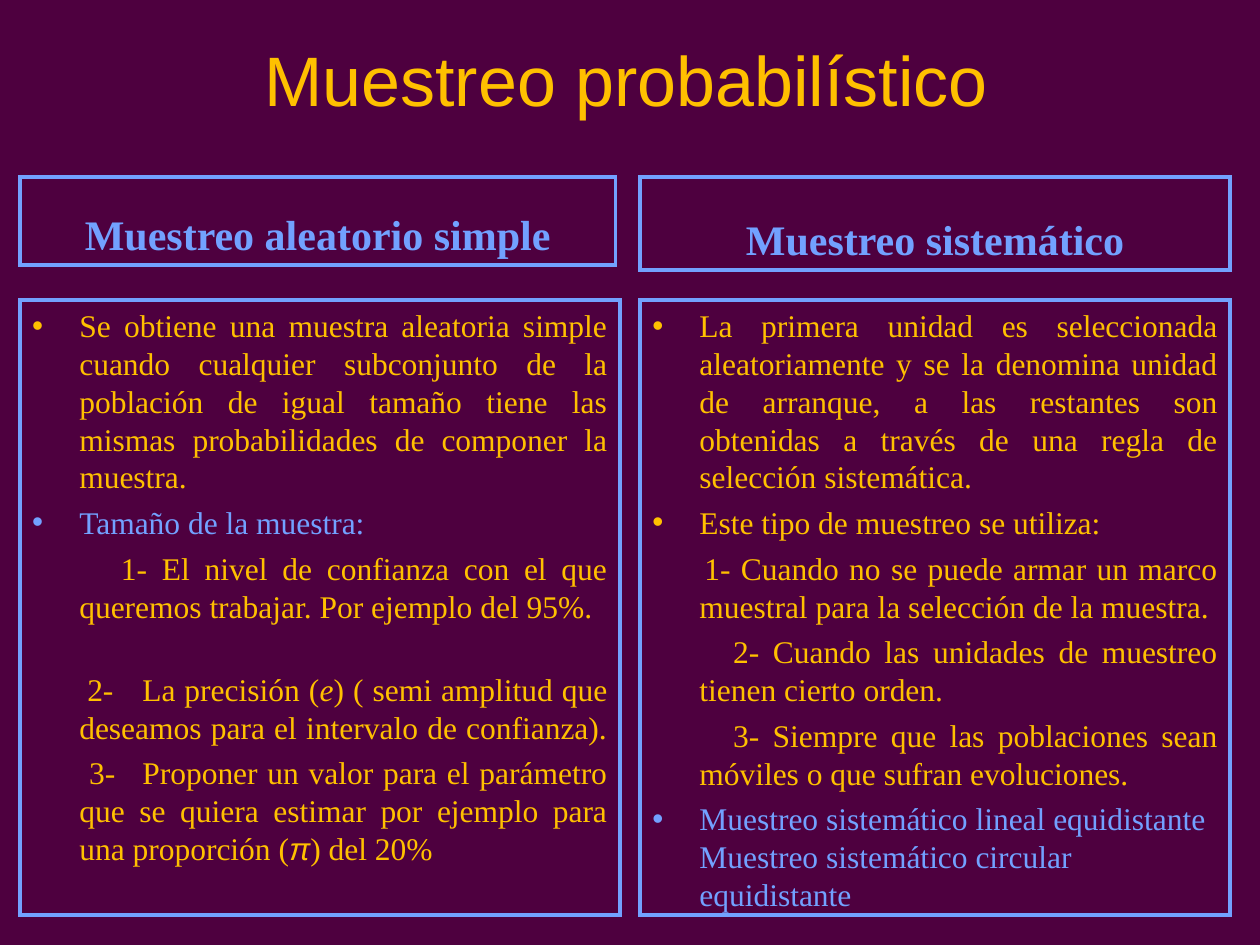
from pptx import Presentation
from pptx.dml.color import RGBColor
from pptx.enum.shapes import MSO_SHAPE
from pptx.enum.text import MSO_ANCHOR, PP_ALIGN
from pptx.oxml.ns import qn
from pptx.util import Cm, Pt
from lxml import etree

RECTANGLE = MSO_SHAPE.RECTANGLE
TOP, MIDDLE, BOTTOM = MSO_ANCHOR.TOP, MSO_ANCHOR.MIDDLE, MSO_ANCHOR.BOTTOM
LEFT, CENTER, JUSTIFY = PP_ALIGN.LEFT, PP_ALIGN.CENTER, PP_ALIGN.JUSTIFY

THEME = {
    "background": "4E003F", "gold": "FFC000", "blue": "72A1FF",
    "title_font": "Arial", "body_font": "Times New Roman",
    "title_size": 40, "heading_size": 24, "body_size": 18,
    "border": 2.25, "gap": 4.5, "wide_gap": 26, "line_spacing": 1.0,
}
HANGING, ITEM_TAB = 0.95, 2.18
HEADING_TOP, BODY_TOP, BODY_HEIGHT = 3.57, 6.05, 12.4

TITLE = "Muestreo probabilístico"
COLUMNS = [
    {
        "heading": "Muestreo aleatorio simple",
        "left": 0.4, "heading_size": (12.01, 1.78), "body_width": 12.1,
        "paragraphs": [
            {"bullet": True, "text": ["Se obtiene una muestra aleatoria simple cuando cualquier subconjunto de la población de igual tamaño tiene las mismas probabilidades de componer la muestra."]},
            {"bullet": True, "color": "blue", "text": ["Tamaño de la muestra:"]},
            {"indent": 0.84, "text": ["1- El nivel de confianza con el que queremos trabajar. Por ejemplo del 95%."]},
            {"indent": 0.16, "gap": "wide_gap", "text": ["2-\tLa precisión (", ("e", "body_font"), ") ( semi amplitud que deseamos para el intervalo de confianza). "]},
            {"indent": 0.2, "text": ["3-\tProponer un valor para el parámetro que se quiera estimar por ejemplo para una proporción (", ("π", "title_font"), ") del 20%"]},
        ],
    },
    {
        "heading": "Muestreo sistemático",
        "left": 12.9, "heading_size": (11.9, 1.88), "body_width": 11.9,
        "paragraphs": [
            {"bullet": True, "text": ["La primera unidad es seleccionada aleatoriamente y se la denomina unidad de arranque, a las restantes son obtenidas a través de una regla de selección sistemática."]},
            {"bullet": True, "text": ["Este tipo de muestreo se utiliza:"]},
            {"indent": 0.1, "text": ["1- Cuando no se puede armar un marco muestral para la selección de la muestra."]},
            {"indent": 0.68, "text": ["2- Cuando las unidades de muestreo tienen cierto orden."]},
            {"indent": 0.68, "text": ["3- Siempre que las poblaciones sean móviles o que sufran evoluciones."]},
            {"bullet": True, "color": "blue", "align": LEFT, "text": ["Muestreo sistemático lineal equidistante Muestreo sistemático circular equidistante"]},
        ],
    },
]


def theme_color(name):
    return RGBColor.from_string(THEME[name])


def add_span(para, text, font, size, color, bold=False, italic=False):
    span = para.add_run()
    span.text = text
    span.font.name = THEME[font]
    span.font.size = Pt(THEME[size])
    span.font.color.rgb = theme_color(color)
    span.font.bold = bold
    span.font.italic = italic


def add_box(page, left, top, width, height, anchor):
    box = page.shapes.add_shape(RECTANGLE, Cm(left), Cm(top), Cm(width), Cm(height))
    box.shadow.inherit = False
    box.fill.background()
    box.line.color.rgb = theme_color("blue")
    box.line.width = Pt(THEME["border"])
    outline = box._element.spPr.find(qn("a:ln"))
    etree.SubElement(outline, qn("a:miter"), lim="800000")
    box.text_frame.word_wrap = True
    box.text_frame.vertical_anchor = anchor
    return box.text_frame


def format_paragraph(para, item, color):
    properties = para._p.get_or_add_pPr()
    properties.set("marL", str(Cm(HANGING)))
    if item.get("bullet"):
        properties.set("indent", str(-Cm(HANGING)))
        bullet_color = etree.SubElement(properties, qn("a:buClr"))
        etree.SubElement(bullet_color, qn("a:srgbClr"), val=THEME[color])
        etree.SubElement(properties, qn("a:buFont"), typeface=THEME["title_font"])
        etree.SubElement(properties, qn("a:buChar"), char="•")
    else:
        properties.set("indent", str(Cm(item["indent"])))
        etree.SubElement(properties, qn("a:buNone"))
    if "\t" in item["text"][0]:
        tabs = etree.SubElement(properties, qn("a:tabLst"))
        etree.SubElement(tabs, qn("a:tab"), pos=str(Cm(ITEM_TAB)), algn="l")
    para.alignment = item.get("align", JUSTIFY)
    para.line_spacing = THEME["line_spacing"]


def add_paragraphs(frame, items):
    for index, item in enumerate(items):
        para = frame.add_paragraph() if index else frame.paragraphs[0]
        color = item.get("color", "gold")
        format_paragraph(para, item, color)
        if index:
            para.space_before = Pt(THEME[item.get("gap", "gap")])
        for part in item["text"]:
            symbol = isinstance(part, tuple)
            text, font = part if symbol else (part, "body_font")
            add_span(para, text, font, "body_size", color, italic=symbol)


def add_column(page, column):
    heading = add_box(page, column["left"], HEADING_TOP, *column["heading_size"], BOTTOM)
    para = heading.paragraphs[0]
    para.alignment = CENTER
    add_span(para, column["heading"], "body_font", "heading_size", "blue", bold=True)
    body = add_box(page, column["left"], BODY_TOP, column["body_width"], BODY_HEIGHT, TOP)
    add_paragraphs(body, column["paragraphs"])


def main():
    deck = Presentation()
    deck.slide_width, deck.slide_height = Cm(25.4), Cm(19.05)
    page = deck.slides.add_slide(deck.slide_layouts[6])
    page.background.fill.solid()
    page.background.fill.fore_color.rgb = theme_color("background")

    title = page.shapes.add_textbox(Cm(1.19), Cm(0), Cm(22.86), Cm(3.18)).text_frame
    title.word_wrap = True
    title.vertical_anchor = MIDDLE
    title.paragraphs[0].alignment = CENTER
    add_span(title.paragraphs[0], TITLE, "title_font", "title_size", "gold")

    for column in COLUMNS:
        add_column(page, column)
    deck.save("out.pptx")


if __name__ == "__main__":
    main()
